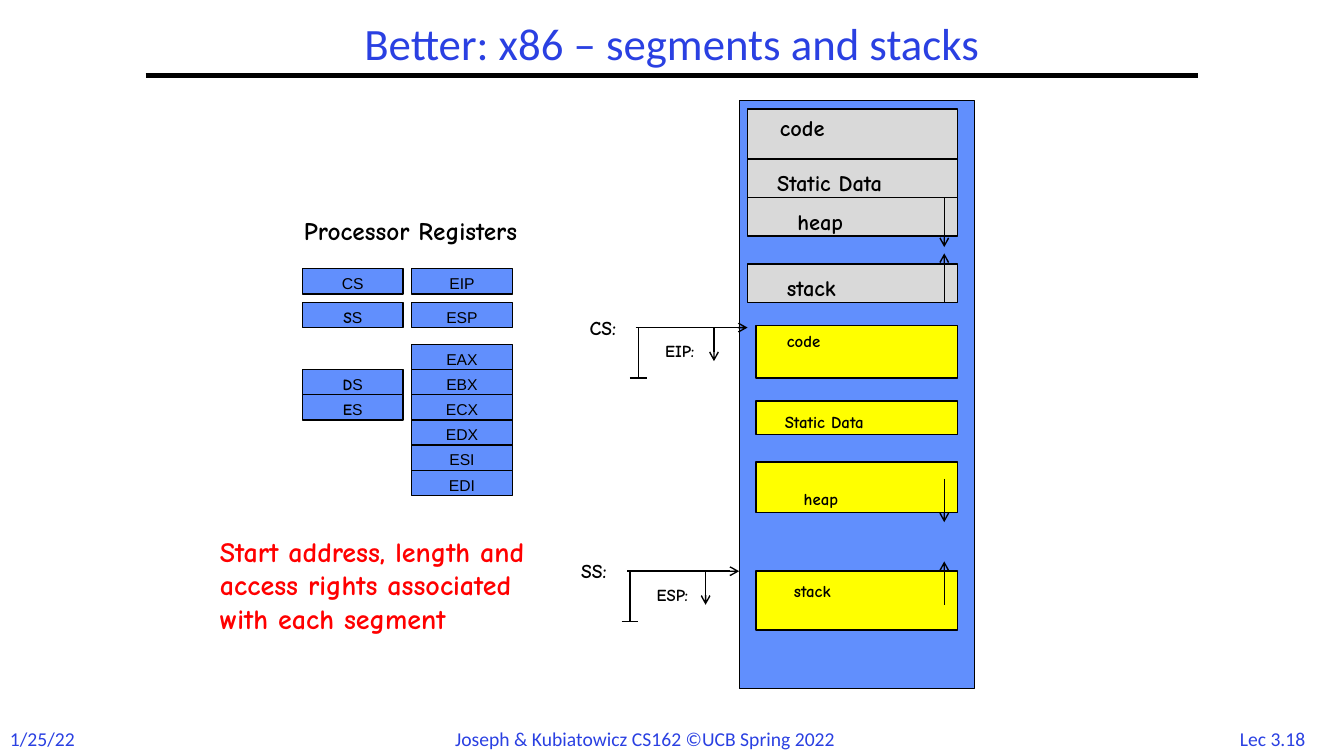
from pptx import Presentation
from pptx.dml.color import RGBColor
from pptx.enum.shapes import MSO_CONNECTOR, MSO_SHAPE
from pptx.enum.text import MSO_ANCHOR, MSO_AUTO_SIZE, PP_ALIGN
from pptx.oxml.ns import qn
from pptx.util import Pt
from lxml.etree import SubElement

BLACK, BLUE, TITLE_BLUE = "000000", "618FFD", "2A40E2"
GREY, YELLOW, RED = "D9D9D9", "FFFF00", "FF0000"
COMIC = "Comic Neue"


def rgb(color):
    return RGBColor.from_string(color)


def set_font(font, size, name, color=BLACK, bold=False):
    font.size = Pt(size)
    font.name = name
    font.bold = bold
    font.color.rgb = rgb(color)


def add_text(s, text, x, y, w, h, size, name=COMIC, color=BLACK, wrap=False,
             align=PP_ALIGN.LEFT):
    tf = s.shapes.add_textbox(Pt(x), Pt(y), Pt(w), Pt(h)).text_frame
    tf.word_wrap = wrap
    tf.auto_size = MSO_AUTO_SIZE.NONE if wrap else MSO_AUTO_SIZE.SHAPE_TO_FIT_TEXT
    p = tf.paragraphs[0]
    p.text = text
    p.alignment = align
    set_font(p.font, size, name, color, name == COMIC)
    return tf


def add_rect(s, x, y, w, h, fill):
    sp = s.shapes.add_shape(MSO_SHAPE.RECTANGLE, Pt(x), Pt(y), Pt(w), Pt(h))
    sp.shadow.inherit = False
    sp.fill.solid()
    sp.fill.fore_color.rgb = rgb(fill)
    sp.line.color.rgb = rgb(BLACK)
    sp.line.width = Pt(1)
    return sp


def add_line(s, x1, y1, x2, y2, width=1, arrow=False):
    line = s.shapes.add_connector(MSO_CONNECTOR.STRAIGHT, Pt(x1), Pt(y1), Pt(x2), Pt(y2))
    line.line.color.rgb = rgb(BLACK)
    line.line.width = Pt(width)
    if arrow:
        SubElement(line.line._get_or_add_ln(), qn("a:tailEnd"), type="arrow")
    SubElement(line._element.spPr, qn("a:effectLst"))


def add_register(s, name, x, y, comic_first=False):
    tf = add_rect(s, x, y, 72, 18, BLUE).text_frame
    tf.vertical_anchor = MSO_ANCHOR.TOP
    p = tf.paragraphs[0]
    p.alignment = PP_ALIGN.CENTER
    if comic_first:
        for letter, font in zip(name, (COMIC, "Arial")):
            r = p.add_run()
            r.text = letter
            set_font(r.font, 11.2, font, bold=font == COMIC)
    else:
        p.text = name
        set_font(p.font, 11.2, "Arial")


def add_segment(s, name, x, y, w, h, fill, size, text_x, text_y, text_w):
    add_rect(s, x, y, w, h, fill)
    add_text(s, name, text_x, text_y, text_w, size * 1.2 + 7.2, size)


def add_pointer(s, segment, offset, x, y):
    add_text(s, segment, x - 42, y - 12, 40, 24.5, 14)
    add_line(s, x - 2, y, x + 78, y, arrow=True)
    add_line(s, x, y, x, y + 36)
    add_line(s, x - 6, y + 36, x + 6, y + 36)
    add_line(s, x + 54, y, x + 54, y + 24, arrow=True)
    add_text(s, offset, x + 12, y + 6, 41.5, 21.6, 12)


def main():
    prs = Presentation()
    prs.slide_width, prs.slide_height = Pt(960), Pt(540)
    s = prs.slides.add_slide(prs.slide_layouts[6])

    footers = [("Lec 3.18", 878.5, 70), ("1/25/22", 0, 61),
               ("Joseph & Kubiatowicz CS162 ©UCB Spring 2022", 318, 324)]
    for text, x, w in footers:
        add_text(s, text, x, 515.5, w, 24.5, 14, "Calibri", TITLE_BLUE)
    add_line(s, 104, 54, 856, 54, width=3)
    title = add_text(s, "Better: x86 – segments and stacks", 198, 12, 564, 42, 32,
                     "Calibri", TITLE_BLUE, True, PP_ALIGN.CENTER)
    title.vertical_anchor = MSO_ANCHOR.MIDDLE
    title.paragraphs[0].line_spacing = 0.9

    add_text(s, "Processor Registers", 210, 150, 192, 29, 18, wrap=True)
    for name, y in (("CS", 192), ("SS", 216), ("DS", 264), ("ES", 282)):
        add_register(s, name, 216, y, name != "CS")
    add_register(s, "EIP", 294, 192)
    add_register(s, "ESP", 294, 216)
    for i, name in enumerate(("EAX", "EBX", "ECX", "EDX", "ESI", "EDI")):
        add_register(s, name, 294, 246 + 18 * i)
    add_text(s, "Start address, length and access rights associated with each segment",
             150, 378, 253.5, 104.5, 20, color=RED, wrap=True)

    add_rect(s, 528, 72, 168, 420, BLUE)
    grey_segments = [("code", 78, 35.5, 550, 78, 50),
                     ("Static Data", 113.5, 27.5, 548, 117.5, 107),
                     ("heap", 141, 27.5, 562.5, 145, 50.5),
                     ("stack", 188.5, 27.5, 555, 192.5, 56)]
    for name, y, h, *label in grey_segments:
        add_segment(s, name, 534, y, 150, h, GREY, 16, *label)
    yellow_segments = [("code", 232.5, 37.5, 555, 232.5, 41),
                       ("Static Data", 286.5, 24, 553.5, 290.5, 84),
                       ("heap", 330, 36, 567, 345.5, 41.5),
                       ("stack", 408, 42, 560, 411.5, 45.5)]
    for name, y, h, *label in yellow_segments:
        add_segment(s, name, 540, y, 144, h, YELLOW, 12, *label)
    for start, end in ((216, 181), (141, 176.5), (432, 401), (342, 373)):
        add_line(s, 674.5, start, 674.5, end, arrow=True)

    add_pointer(s, "CS:", "EIP:", 456, 234)
    add_pointer(s, "SS:", "ESP:", 450, 408)
    prs.save("out.pptx")


if __name__ == "__main__":
    main()
